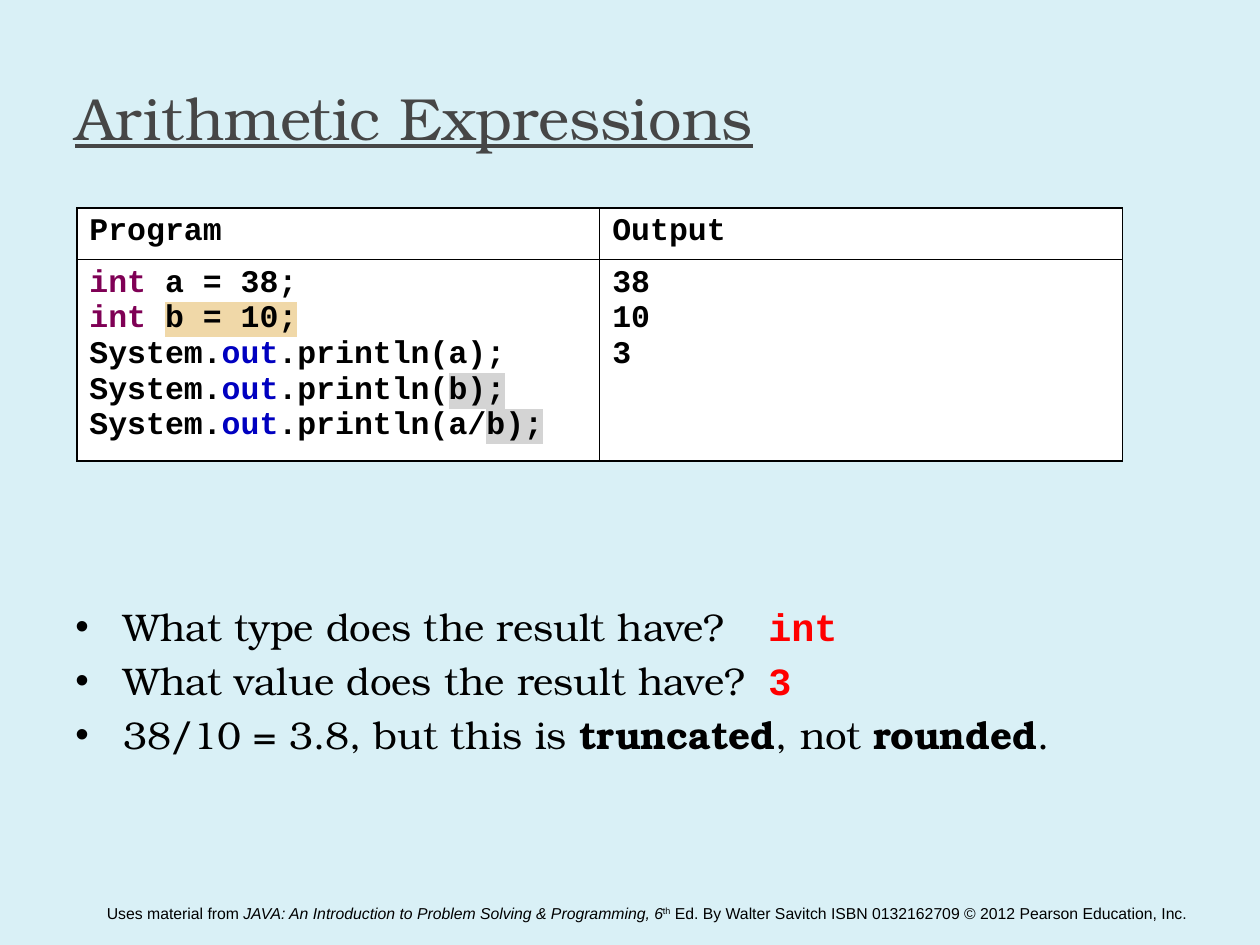
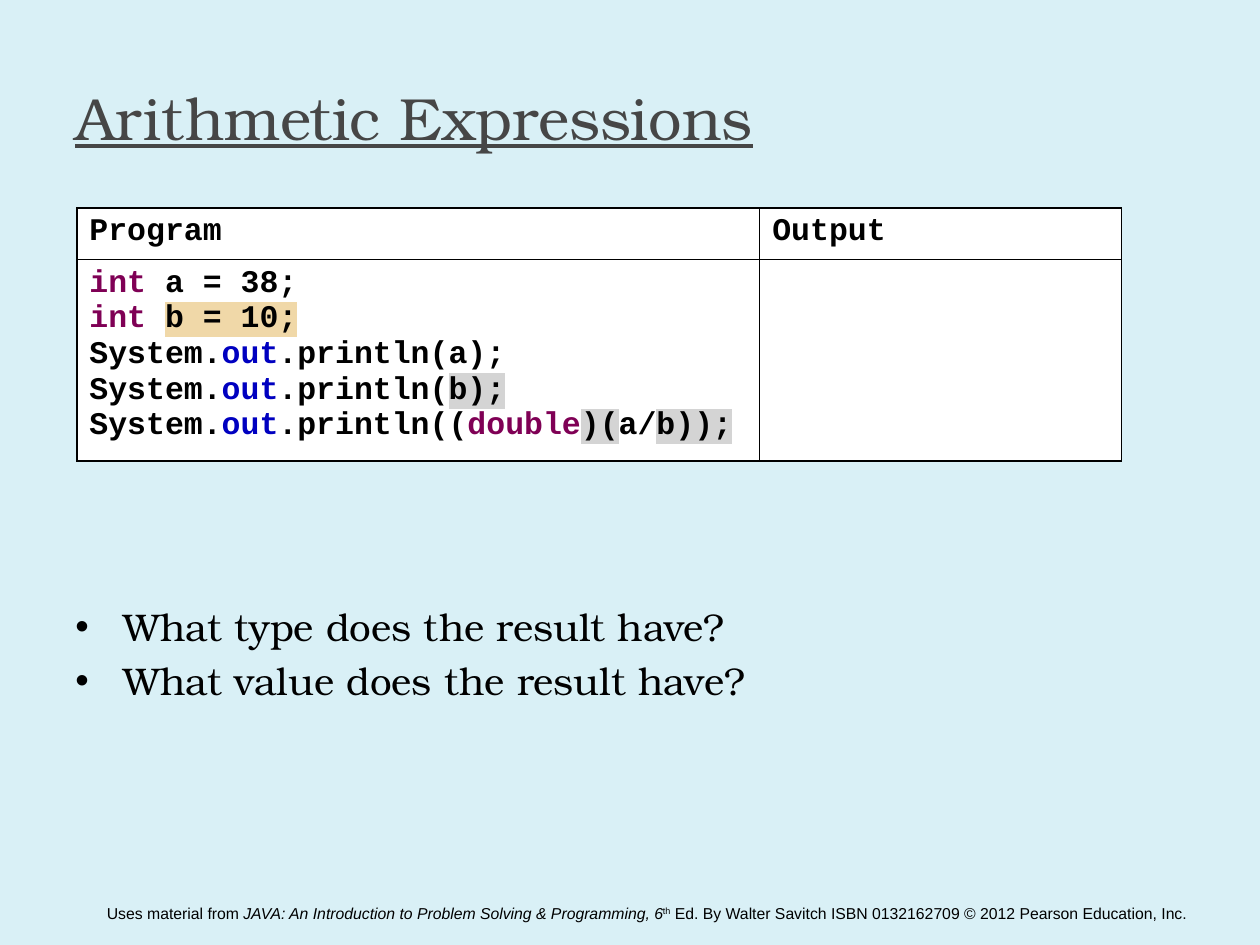
from dataclasses import dataclass

from pptx import Presentation
from pptx.dml.color import RGBColor as RGB
from pptx.enum.text import MSO_ANCHOR as ANCHOR
from pptx.oxml import parse_xml
from pptx.oxml.ns import nsdecls, qn
from pptx.util import Inches, Pt


@dataclass(frozen=True)
class Theme:
    background: str = "D9F0F6"
    title: str = "464646"
    text: str = "000000"
    cell: str = "FFFFFF"
    answer: str = "FF0000"
    keyword: str = "7F0055"
    field: str = "0000C0"
    written: str = "F0D8A8"
    read: str = "D4D4D4"
    serif: str = "TeX Gyre Bonum"
    mono: str = "Courier New"
    sans: str = "Arial"
    title_size: float = 34
    body_size: float = 22
    code_size: float = 18
    footer_size: float = 9
    border_width: float = 1


THEME = Theme()
KEYWORD = {"color": THEME.keyword}
FIELD = {"color": THEME.field}
WRITTEN = {"highlight": THEME.written}
READ = {"highlight": THEME.read}
ANSWER = {"font": THEME.mono, "color": THEME.answer, "bold": True}
BOLD = {"bold": True}


class Deck:
    def __init__(self, theme):
        self.theme = theme
        self.prs = Presentation()
        self.prs.slide_width, self.prs.slide_height = Inches(10), Inches(7.5)
        self.slide = None

    def add_slide(self, title):
        t = self.theme
        self.slide = self.prs.slides.add_slide(self.prs.slide_layouts[6])
        fill = self.slide.background.fill
        fill.solid()
        fill.fore_color.rgb = RGB.from_string(t.background)
        self.footer()
        tf = self.text_box(0.5, 0.3, 9, 1.25)
        tf.vertical_anchor = ANCHOR.MIDDLE
        self.runs(tf.paragraphs[0], [(title, {"underline": True})],
                  font=t.serif, size=t.title_size, color=t.title)

    def text_box(self, left, top, width, height):
        sp = self.slide.shapes.add_textbox(
            Inches(left), Inches(top), Inches(width), Inches(height))
        sp.text_frame.word_wrap = True
        return sp.text_frame

    def runs(self, p, parts, **base):
        for text, changes in parts:
            r = p.add_run()
            r.text = text
            self.style_run(r, **{**base, **changes})

    def style_run(self, r, font, size, color, bold=False, italic=False,
                  underline=False, highlight=None, raised=False):
        r.font.name, r.font.size = font, Pt(size)
        r.font.bold, r.font.italic, r.font.underline = bold, italic, underline
        r.font.color.rgb = RGB.from_string(color)
        props = r.font._element
        if highlight:
            props.find(qn("a:solidFill")).addnext(parse_xml(
                f'<a:highlight {nsdecls("a")}><a:srgbClr val="{highlight}"/>'
                '</a:highlight>'))
        if raised:
            props.set("baseline", "30000")

    def footer(self):
        t = self.theme
        tf = self.text_box(0.75, 7.12, 9, 0.35)
        self.runs(tf.paragraphs[0], [
            ("Uses material from ", {}),
            ("JAVA: An Introduction to Problem Solving & Programming, 6",
             {"italic": True}),
            ("th", {"raised": True}),
            (" Ed. By Walter Savitch ISBN 0132162709 © 2012 Pearson Education, Inc.",
             {}),
        ], font=t.sans, size=t.footer_size, color=t.text)

    def table(self, widths, program, output):
        rows = [[[[("Program", {})]], [[("Output", {})]]], [program, output]]
        heights = [0.41, 1.52]
        table = self.slide.shapes.add_table(
            2, 2, Inches(0.61), Inches(1.65),
            Inches(sum(widths)), Inches(sum(heights))).table
        table.first_row = table.horz_banding = False
        for column, width in zip(table.columns, widths):
            column.width = Inches(width)
        for row, height, contents in zip(table.rows, heights, rows):
            row.height = Inches(height)
            for cell, lines in zip(row.cells, contents):
                self.cell(cell, lines)

    def cell(self, cell, lines):
        t = self.theme
        props = cell._tc.get_or_add_tcPr()
        for side in ("lnL", "lnR", "lnT", "lnB"):
            props.append(parse_xml(
                f'<a:{side} {nsdecls("a")} w="{Pt(t.border_width)}"><a:solidFill>'
                f'<a:srgbClr val="{t.text}"/></a:solidFill></a:{side}>'))
        cell.fill.solid()
        cell.fill.fore_color.rgb = RGB.from_string(t.cell)
        self.lines(cell.text_frame, lines, font=t.mono, size=t.code_size,
                   color=t.text, bold=True)

    def lines(self, tf, lines, **base):
        for i, parts in enumerate(lines):
            p = tf.add_paragraph() if i else tf.paragraphs[0]
            self.runs(p, parts, **base)

    def bullets(self, items):
        t = self.theme
        tf = self.text_box(0.5, 4.74, 9.42, 2.05)
        self.lines(tf, items, font=t.serif, size=t.body_size, color=t.text)
        for i, p in enumerate(tf.paragraphs):
            props = p._p.get_or_add_pPr()
            props.set("marL", str(Inches(0.38)))
            props.set("indent", str(-Inches(0.38)))
            for bullet in (f'<a:buFont {nsdecls("a")} typeface="{t.sans}"/>',
                           f'<a:buChar {nsdecls("a")} char="•"/>'):
                props.append(parse_xml(bullet))
            if i:
                p.space_before = Pt(0.2 * t.body_size)


def print_line(*argument):
    return [("System.", {}), ("out", FIELD), (".println(", {}), *argument]


def main():
    title = "Arithmetic Expressions"
    type_question = "What type does the result have?"
    value_question = "What value does the result have?"
    setup = [
        [("int", KEYWORD), (" a = 38;", {})],
        [("int ", KEYWORD), ("b = 10;", WRITTEN)],
        print_line(("a);", {})),
        print_line(("b);", READ)),
    ]
    int_division = print_line(("a/", {}), ("b);", READ))
    cast_division = print_line(("(", {}), ("double", KEYWORD), (")(", READ),
                               ("a/", {}), ("b));", READ))

    deck = Deck(THEME)
    deck.add_slide(title)
    deck.table([4.15, 4.15], setup + [int_division],
               [[(value, {})] for value in ("38", "10", "3")])
    deck.bullets([
        [(type_question + "\t", {}), ("int", ANSWER)],
        [(value_question + "\t", {}), ("3", ANSWER)],
        [("38/10 = 3.8, but this is ", {}), ("truncated", BOLD),
         (", not ", {}), ("rounded", BOLD), (".", {})],
    ])

    deck.add_slide(title)
    deck.table([5.42, 2.87], setup + [cast_division], [])
    deck.bullets([[(type_question, {})], [(value_question, {})]])

    deck.prs.save("out.pptx")


if __name__ == "__main__":
    main()
